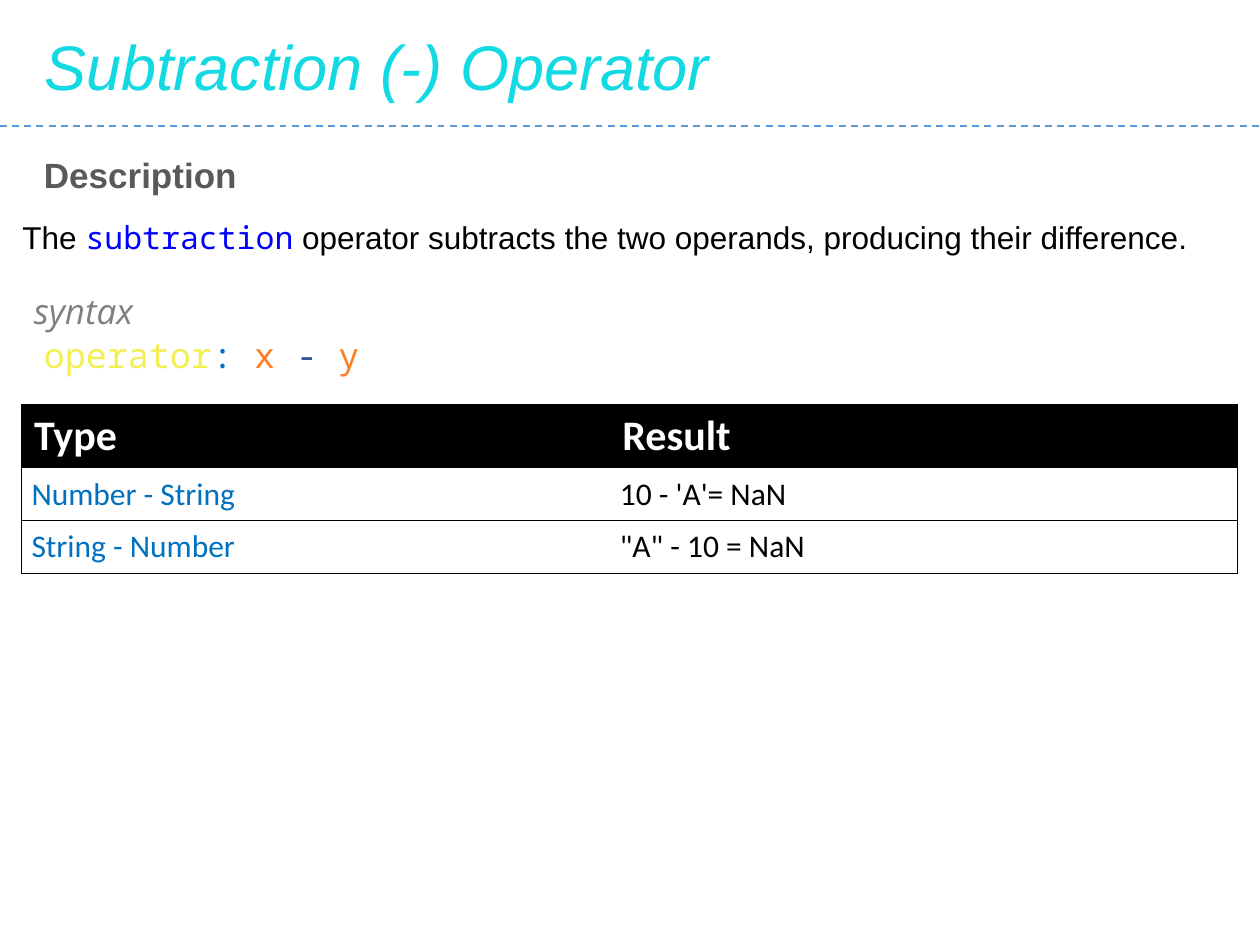
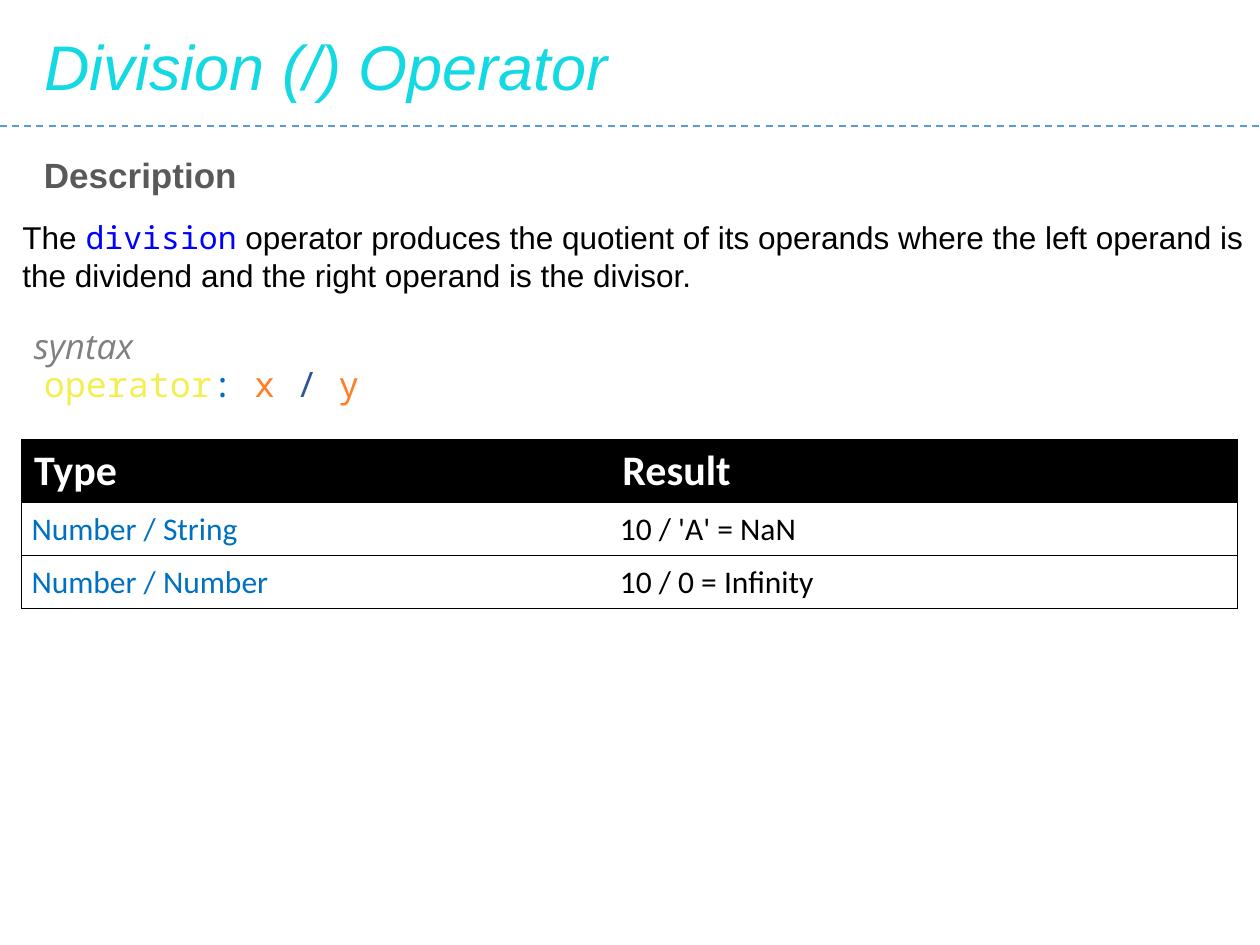
from dataclasses import dataclass

from lxml import etree
from pptx import Presentation
from pptx import util as u
from pptx.dml.color import RGBColor
from pptx.enum import dml, shapes, text
from pptx.oxml import ns

OPERATORS = [
    {
        "title": "Subtraction (-) Operator",
        "keyword": "subtraction",
        "meaning": " operator subtracts the two operands, producing their difference.",
        "symbol": "-",
        "rows": [("Number - String", "10 - 'A'= NaN"),
                 ("String - Number", '"A" - 10 = NaN')],
        "description_height": 0.4,
        "syntax_top": 2.25,
        "code_top": 2.6,
    },
    {
        "title": "Division (/) Operator",
        "keyword": "division",
        "meaning": " operator produces the quotient of its operands where the left "
                   "operand is the dividend and the right operand is the divisor.",
        "symbol": "/",
        "rows": [("Number / String", "10 / 'A' = NaN"),
                 ("Number / Number", "10 / 0 = Infinity")],
        "description_height": 0.71,
        "syntax_top": 2.53,
        "code_top": 2.83,
    },
]
TABLE_HEADER = ("Type", "Result")
COLUMN_WIDTHS = (4.67, 4.98)
ROW_HEIGHT = 0.42
TABLE_GAP = 0.96


@dataclass(frozen=True)
class Theme:
    sans: str = "Arial"
    mono: str = "Noto Sans Mono"
    label: str = "Open Sans"
    table: str = "Calibri"
    title_size: int = 36
    header_size: int = 24
    heading_size: int = 20
    body_size: int = 18
    title: str = "13D9E3"
    rule: str = "5B9BD5"
    heading: str = "595959"
    syntax: str = "808080"
    keyword: str = "0000FF"
    operator: str = "F3EF53"
    blue: str = "0070C0"
    operand: str = "FF7F27"
    symbol: str = "2F5597"
    black: str = "000000"
    white: str = "FFFFFF"


THEME = Theme()


def style(font, size=None, name=None, color=None, bold=None, italic=None):
    if size:
        font.size = u.Pt(size)
    if name:
        font.name = name
    if color:
        font.color.rgb = RGBColor.from_string(color)
    font.bold, font.italic = bold, italic


def add_text(page, place, spans, size):
    box = page.shapes.add_textbox(*map(u.Inches, place))
    box.text_frame.word_wrap = True
    para = box.text_frame.paragraphs[0]
    para.font.size = u.Pt(size)
    for words, look in spans:
        span = para.add_run()
        span.text = words
        style(span.font, **look)


def add_title(page, words):
    title = page.shapes.title
    title.left, title.top, title.width, title.height = map(u.Inches, (0.25, 0.17, 9.42, 0.71))
    title.text = words
    frame = title.text_frame
    frame.auto_size = text.MSO_AUTO_SIZE.NONE
    frame.vertical_anchor = text.MSO_ANCHOR.TOP
    para = frame.paragraphs[0]
    para.alignment = text.PP_ALIGN.LEFT
    style(para.font, THEME.title_size, THEME.sans, THEME.title, italic=True)


def add_rule(page):
    rule = page.shapes.add_connector(
        shapes.MSO_CONNECTOR.STRAIGHT, 0, u.Inches(1), u.Inches(10), u.Inches(1))
    rule.line.color.rgb = RGBColor.from_string(THEME.rule)
    rule.line.width = u.Pt(1)
    rule.line.dash_style = dml.MSO_LINE.DASH
    etree.SubElement(rule._element.spPr, ns.qn("a:effectLst"))


def set_borders(cell, visible):
    properties = cell._tc.get_or_add_tcPr()
    for position, side in enumerate("LRTB"):
        border = etree.Element(ns.qn(f"a:ln{side}"), w=str(u.Pt(0.5)))
        if side in visible:
            fill = etree.SubElement(border, ns.qn("a:solidFill"))
            etree.SubElement(fill, ns.qn("a:srgbClr"), val=THEME.black)
        else:
            etree.SubElement(border, ns.qn("a:noFill"))
        properties.insert(position, border)


def add_table(page, top, rows):
    content = [TABLE_HEADER, *rows]
    frame = page.shapes.add_table(
        len(content), len(COLUMN_WIDTHS), u.Inches(0.17), u.Inches(top),
        u.Inches(sum(COLUMN_WIDTHS)), u.Inches(ROW_HEIGHT * len(content)))
    table = frame.table
    table.horz_banding = False
    for column, width in zip(table.columns, COLUMN_WIDTHS):
        column.width = u.Inches(width)
    for r, row in enumerate(content):
        for c, words in enumerate(row):
            cell = table.cell(r, c)
            cell.text = words
            cell.fill.solid()
            cell.fill.fore_color.rgb = RGBColor.from_string(THEME.white if r else THEME.black)
            set_borders(cell, "TB" + "LR"[c])
            font = cell.text_frame.paragraphs[0].font
            if r == 0:
                style(font, THEME.header_size, THEME.table, THEME.white, bold=True)
                continue
            cell.vertical_anchor = text.MSO_ANCHOR.MIDDLE
            cell.margin_left = cell.margin_right = u.Inches(0.08)
            cell.margin_top = cell.margin_bottom = u.Inches(0.06)
            style(font, THEME.body_size, THEME.table, THEME.black if c else THEME.blue, bold=False)


def add_operator_page(deck, operator):
    page = deck.slides.add_slide(deck.slide_layouts.get_by_name("Title Only"))
    add_title(page, operator["title"])
    add_rule(page)
    add_text(page, (0.25, 1.17, 9.42, 0.44),
             [("Description", dict(name=THEME.sans, color=THEME.heading, bold=True))],
             THEME.heading_size)
    plain = dict(name=THEME.sans, color=THEME.black)
    add_text(page, (0.08, 1.68, 9.92, operator["description_height"]),
             [("The ", plain),
              (operator["keyword"], dict(name=THEME.mono, color=THEME.keyword)),
              (operator["meaning"], plain)],
             THEME.body_size)
    add_text(page, (0.17, operator["syntax_top"], 9.67, 0.44),
             [("syntax", dict(name=THEME.label, color=THEME.syntax, italic=True))],
             THEME.heading_size)
    add_table(page, operator["syntax_top"] + TABLE_GAP, operator["rows"])
    code = [("operator", THEME.operator), (": ", THEME.blue), ("x ", THEME.operand),
            (operator["symbol"] + " ", THEME.symbol), ("y", THEME.operand)]
    add_text(page, (0.25, operator["code_top"], 9.5, 0.44),
             [(words, dict(name=THEME.mono, color=color)) for words, color in code],
             THEME.heading_size)


def main():
    deck = Presentation()
    deck.slide_width, deck.slide_height = u.Inches(10), u.Inches(7.5)
    for operator in OPERATORS:
        add_operator_page(deck, operator)
    deck.save("out.pptx")


if __name__ == "__main__":
    main()
